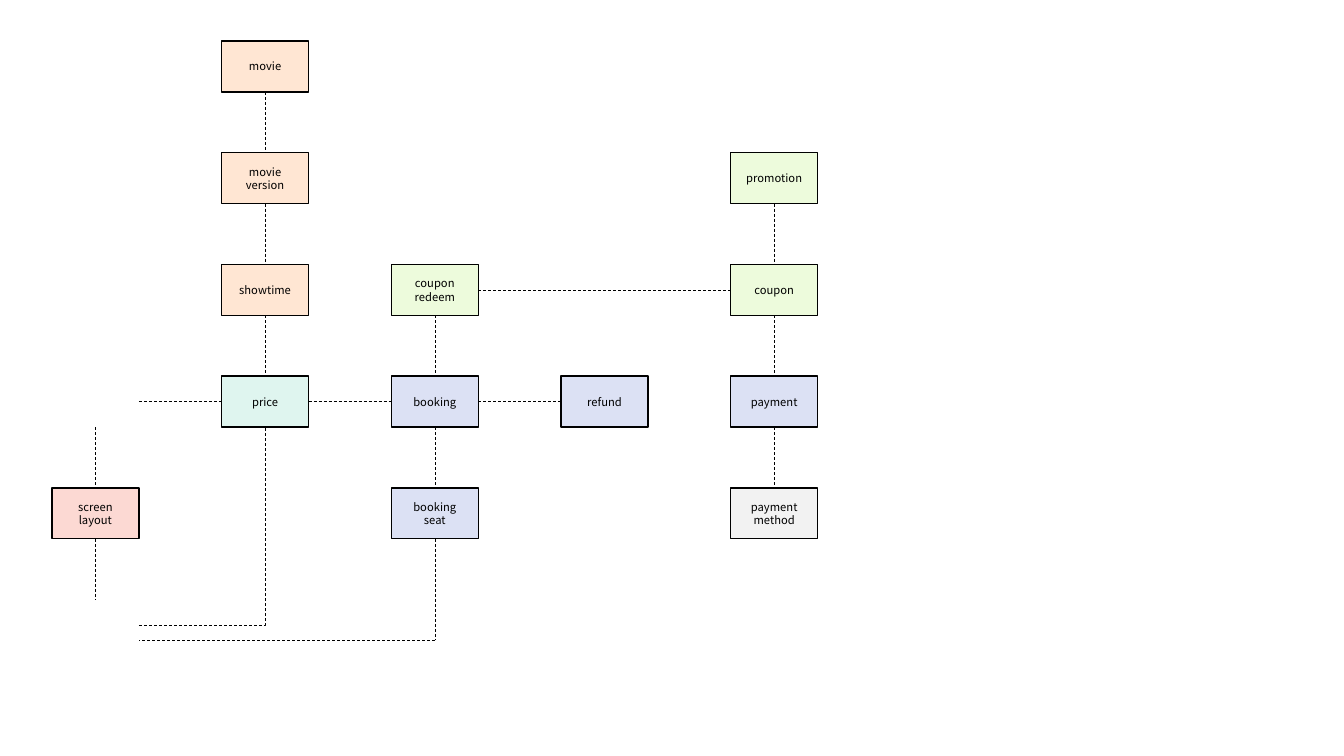
from pptx import Presentation
from pptx.dml.color import RGBColor
from pptx.enum import dml, shapes, text
from pptx.oxml.ns import qn
from pptx.util import Emu, Pt

PEACH = RGBColor(0xFF, 0xE6, 0xD3)
MINT = RGBColor(0xDF, 0xF5, 0xEF)
PINK = RGBColor(0xFC, 0xD9, 0xD3)
BLUE = RGBColor(0xDC, 0xE1, 0xF4)
LIME = RGBColor(0xED, 0xFB, 0xDC)
GREY = RGBColor(0xF2, 0xF2, 0xF2)
BLACK = RGBColor(0, 0, 0)
FONT = "Noto Sans CJK KR"

# Entities by grid cell: (column, row) -> lines of text, fill
ENTITIES = {
    (1, 0): ("movie", PEACH),
    (1, 1): ("movie\nversion", PEACH),
    (1, 2): ("showtime", PEACH),
    (1, 3): ("price", MINT),
    (0, 4): ("screen\nlayout", PINK),
    (2, 2): ("coupon\nredeem", LIME),
    (2, 3): ("booking", BLUE),
    (2, 4): ("booking\nseat", BLUE),
    (3, 3): ("refund", BLUE),
    (4, 1): ("promotion", LIME),
    (4, 2): ("coupon", LIME),
    (4, 3): ("payment", BLUE),
    (4, 4): ("payment\nmethod", GREY),
}
# Links between cells: downwards and to the right
DOWN = [
    ((1, 0), (1, 1)), ((1, 1), (1, 2)), ((1, 2), (1, 3)),
    ((0, 3), (0, 4)), ((0, 4), (0, 5)),
    ((2, 2), (2, 3)), ((2, 3), (2, 4)),
    ((4, 1), (4, 2)), ((4, 2), (4, 3)), ((4, 3), (4, 4)),
]
ACROSS = [
    ((0, 3), (1, 3)), ((1, 3), (2, 3)), ((2, 3), (3, 3)), ((2, 2), (4, 2)),
]

# Grid in px, 100.8 px to the inch
LEFT, TOP = 52, 41
STEP_X, STEP_Y = 169.7, 111.7
WIDE, HIGH = 87, 51
DROP = 15  # from the lower elbow to the bottom line
UP, WEST, FOOT, EAST = range(4)  # connection sites of a box


def px(n):
    return Emu(round(n * 914400 / 100.8))


def corner(cell):
    col, row = cell
    return LEFT + col * STEP_X, TOP + row * STEP_Y


def site(cell, side):
    x, y = corner(cell)
    dx, dy = ((WIDE / 2, 0), (0, HIGH / 2), (WIDE / 2, HIGH), (WIDE, HIGH / 2))[side]
    return x + dx, y + dy


deck = Presentation()
deck.slide_width, deck.slide_height = px(1344), px(756)
slide = deck.slides.add_slide(deck.slide_layouts[6])
boxes = {}


def add_box(cell, words, fill):
    x, y = corner(cell)
    box = slide.shapes.add_shape(
        shapes.MSO_SHAPE.RECTANGLE, px(x), px(y), px(WIDE), px(HIGH))
    box.shadow.inherit = False
    box.fill.solid()
    box.fill.fore_color.rgb = fill
    box.line.color.rgb = BLACK
    box.line.width = Pt(1)
    frame = box.text_frame
    frame.text = words
    frame.word_wrap = True
    frame.vertical_anchor = text.MSO_ANCHOR.MIDDLE
    for para in frame.paragraphs:
        para.alignment = text.PP_ALIGN.CENTER
        para.font.name = FONT
        para.font.size = Pt(8)
        para.font.color.rgb = BLACK
    return box


def add_line(start, end, kind=shapes.MSO_CONNECTOR.STRAIGHT):
    line = slide.shapes.add_connector(kind, *map(px, start + end))
    line.line.color.rgb = BLACK
    line.line.width = Pt(0.5)
    line.line.dash_style = dml.MSO_LINE.DASH
    props = line._element.spPr
    props.append(props.makeelement(qn("a:effectLst"), {}))
    return line


def link(one, two, out, into):
    line = add_line(site(one, out), site(two, into))
    if one in boxes:
        line.begin_connect(boxes[one], out)
    if two in boxes:
        line.end_connect(boxes[two], into)


# Boxes
for cell, (words, fill) in ENTITIES.items():
    boxes[cell] = add_box(cell, words, fill)

# Straight links
for one, two in DOWN:
    link(one, two, FOOT, UP)
for one, two in ACROSS:
    link(one, two, EAST, WEST)

# Elbow from the price down to the lowest cell
seat = site((0, 5), EAST)
elbow = add_line(seat, site((1, 3), FOOT), shapes.MSO_CONNECTOR.ELBOW)
elbow._element.spPr.find(qn("a:prstGeom")).set("prst", "bentConnector2")
elbow.end_connect(boxes[1, 3], FOOT)

# Booking seat down and across to the lowest cell
foot = site((2, 4), FOOT)
low = seat[1] + DROP
add_line(foot, (foot[0], low))
add_line((foot[0], low), (seat[0], low))

deck.save("out.pptx")
